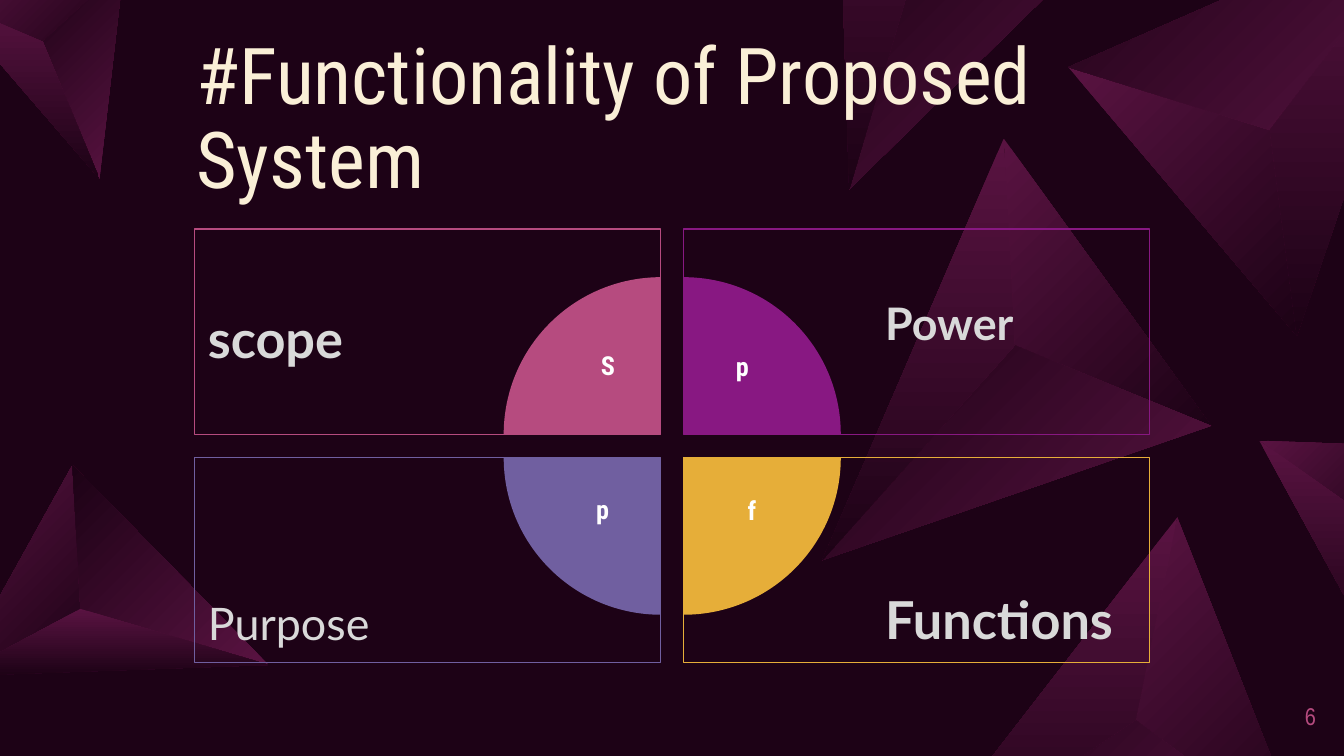
from pptx import Presentation
from pptx.dml.color import RGBColor
from pptx.enum.shapes import MSO_SHAPE as SHAPE
from pptx.enum.text import MSO_ANCHOR as ANCHOR, PP_ALIGN as ALIGN
from pptx.util import Cm, Pt

rgb = RGBColor.from_string


def add_text(sp, text, size, font, color, bold=False, align=ALIGN.LEFT,
             anchor=ANCHOR.TOP, insets=(0, 0, 0, 0), spacing=None):
    tf = sp.text_frame
    tf.word_wrap = True
    tf.vertical_anchor = anchor
    tf.margin_left, tf.margin_top, tf.margin_right, tf.margin_bottom = map(Cm, insets)
    p = tf.paragraphs[0]
    p.alignment = align
    p.line_spacing = spacing
    r = p.add_run()
    r.text = text
    r.font.size, r.font.name, r.font.bold = Pt(size), font, bold
    r.font.color.rgb = rgb(color)


SLIDE_W, SLIDE_H = 25.4, 14.29
prs = Presentation()
prs.slide_width, prs.slide_height = Cm(SLIDE_W), Cm(SLIDE_H)
s = prs.slides.add_slide(prs.slide_layouts[6])
s.background.fill.solid()
s.background.fill.fore_color.rgb = rgb("1D0216")

# Background crystals: three corners and the ridge point where the faces meet
crystals = [
    [(24.51, 6.35), (20.19, 1.27), (27.3, -1.85), (24, 2.46)],
    [(-0.84, 12.78), (1.37, 8.79), (5.08, 12.57), (1.52, 11.51)],
    [(18.97, 2.62), (22.89, 8.05), (15.54, 10.59), (19.18, 6.53)],
    [(22.25, 9.78), (24.69, 16), (16.94, 16.64), (21.46, 13.61)],
    [(23.8, 8.33), (27.25, 8.46), (25.96, 12.27), (25.45, 9.5)],
    [(15.77, -5.08), (21.62, -1.88), (16.05, 3.58), (17.6, -1.65)],
    [(-1.04, 0), (2.34, -0.61), (1.88, 3.38), (0.81, 0.79)],
]
for a, b, c, ridge in crystals:
    for face, angle in [((a, b, ridge), 315), ((b, c, ridge), 135), ((a, ridge, c), 270)]:
        # Leave out faces that lie wholly above or right of the slide
        if max(y for x, y in face) <= 0 or min(x for x, y in face) >= SLIDE_W:
            continue
        start, *rest = [(Cm(x), Cm(y)) for x, y in face]
        outline = s.shapes.build_freeform(*start)
        outline.add_line_segments(rest)
        sp = outline.convert_to_shape()
        sp.shadow.inherit = False
        sp.line.fill.background()
        sp.fill.gradient()
        sp.fill.gradient_angle = angle
        for stop, color in zip(sp.fill.gradient_stops, ("591341", "1D0216")):
            stop.color.rgb = rgb(color)

# Title and page number
title = s.shapes.add_textbox(Cm(3.71), Cm(2.24), Cm(17.98), Cm(1.65))
add_text(title, "#Functionality of Proposed System", 42, "Roboto Condensed", "FAEFD7",
         anchor=ANCHOR.BOTTOM, spacing=0.9)
number = s.shapes.add_textbox(Cm(23.75), Cm(12.98), Cm(1.12), Cm(1.09))
add_text(number, "6", 13, "Arial Narrow", "B64B7F", align=ALIGN.RIGHT, anchor=ANCHOR.MIDDLE)

# Quadrants: column, row, colour, label, size, bold, top inset, pie rotation
BOX_W, BOX_H, RADIUS = 8.81, 3.88, 2.97
lefts, tops = (3.68, 12.92), (4.33, 8.65)
quadrants = [
    (0, 0, "B64B7F", "scope", 28, True, 1.45, 0),
    (1, 0, "881882", "Power", 24, True, 1.26, 90),
    (0, 1, "705FA0", "Purpose", 24, False, 0.25, 270),
    (1, 1, "E6AE39", "Functions", 28, True, 0.25, 180),
]
for col, row, color, label, size, bold, inset_top, rotation in quadrants:
    left, top = lefts[col], tops[row]
    box = s.shapes.add_shape(SHAPE.RECTANGLE, Cm(left), Cm(top), Cm(BOX_W), Cm(BOX_H))
    box.shadow.inherit = False
    box.fill.background()
    box.line.color.rgb = rgb(color)
    box.line.width = Pt(0.75)
    inset_left, inset_right = (3.81, 0.25) if col else (0.25, 3.81)
    add_text(box, label, size, "Lato", "D9D9D9", bold=bold,
             anchor=ANCHOR.BOTTOM if row else ANCHOR.TOP,
             insets=(inset_left, inset_top, inset_right, 0.25))

    # Quarter circle centred on the inner corner of the box
    center_x = left if col else left + BOX_W
    center_y = top if row else top + BOX_H
    pie = s.shapes.add_shape(SHAPE.PIE, Cm(center_x - RADIUS), Cm(center_y - RADIUS),
                             Cm(2 * RADIUS), Cm(2 * RADIUS))
    pie.adjustments[0], pie.adjustments[1] = 108, 162  # 180° to 270°
    pie.rotation = rotation
    pie.shadow.inherit = False
    pie.fill.solid()
    pie.fill.fore_color.rgb = rgb(color)
    pie.line.fill.background()

# Letters on the quarter circles
letters = [("S", 11.21, 6.48, 0.56), ("p", 13.6, 6.5, 0.86),
           ("p", 11.11, 9.19, 0.56), ("f", 13.92, 9.22, 0.58)]
for letter, left, top, width in letters:
    tb = s.shapes.add_textbox(Cm(left), Cm(top), Cm(width), Cm(1.13))
    add_text(tb, letter, 14, "Roboto Condensed", "FFFFFF", bold=True,
             align=ALIGN.CENTER, insets=(0, 0.13, 0, 0.13))

prs.save("out.pptx")
